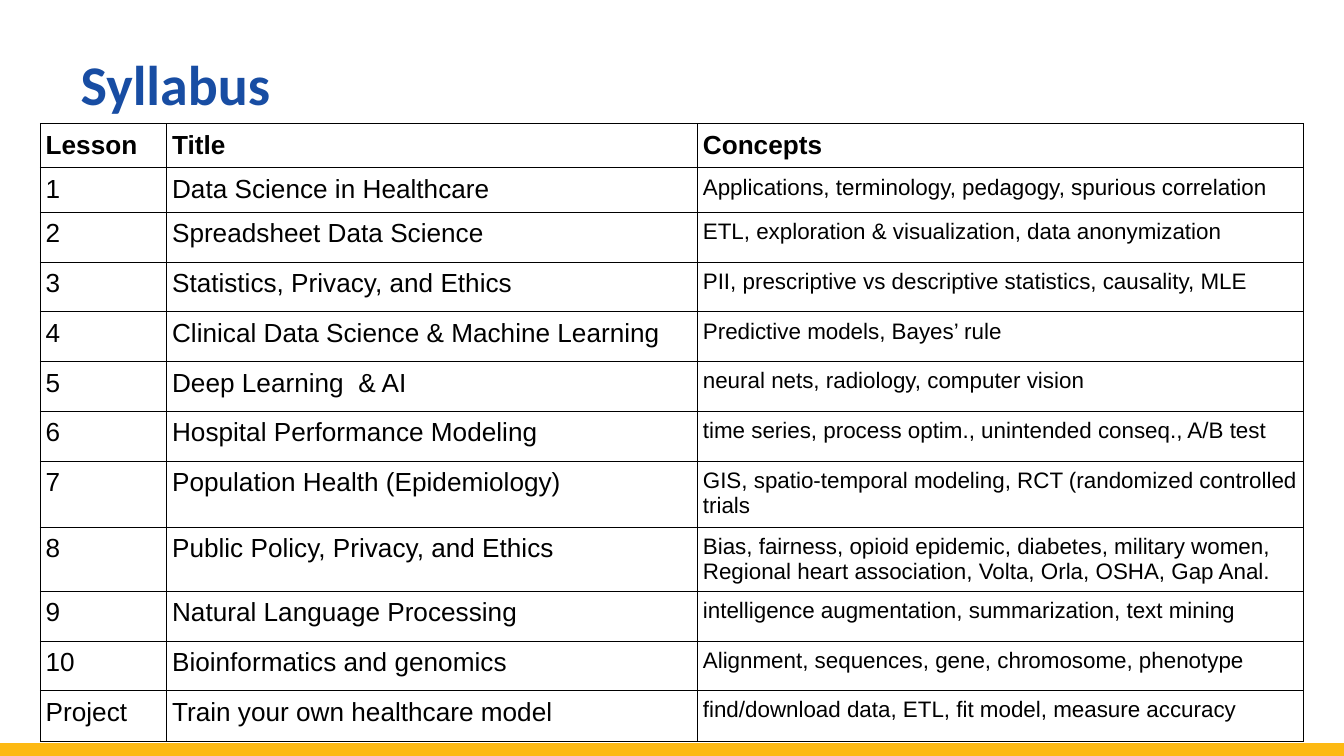
from lxml import etree
from pptx import Presentation
from pptx.dml.color import RGBColor
from pptx.enum.shapes import MSO_CONNECTOR
from pptx.enum.text import MSO_ANCHOR, MSO_AUTO_SIZE, PP_ALIGN
from pptx.oxml.ns import qn
from pptx.util import Pt

LEFT, TOP, NO_FIT = PP_ALIGN.LEFT, MSO_ANCHOR.TOP, MSO_AUTO_SIZE.NONE
STRAIGHT = MSO_CONNECTOR.STRAIGHT
COLORS = {"title": "184DA3", "text": "000000", "border": "000000", "footer": "FDB913"}
TITLE_FONT = {"name": "Calibri", "size": Pt(30), "bold": True}
HEADER_FONT = {"name": "Arial", "size": Pt(14), "bold": True}
BODY_FONT = {"name": "Arial", "size": Pt(14), "bold": False}
CONCEPT_FONT = {"name": "Arial", "size": Pt(12), "bold": False}
CELL_FORMAT = {"margin_left": Pt(2.9), "margin_right": Pt(2.9),
               "margin_top": Pt(3.6), "margin_bottom": Pt(3.6),
               "vertical_anchor": TOP}
TITLE_FRAME = {"margin_left": Pt(7.2), "margin_right": Pt(7.2), "margin_top": Pt(4.5),
               "vertical_anchor": TOP, "word_wrap": True, "auto_size": NO_FIT}

COLUMN_WIDTHS = [67.7, 284.4, 324.7]
ROW = 26.7
ROW_HEIGHTS = [23.8, 23.8] + [ROW] * 5 + [35.3, 34.3] + [ROW] * 2 + [27.2]
SYLLABUS = [
    ("Lesson", "Title", "Concepts"),
    ("1", "Data Science in Healthcare",
     "Applications, terminology, pedagogy, spurious correlation"),
    ("2", "Spreadsheet Data Science",
     "ETL, exploration & visualization, data anonymization"),
    ("3", "Statistics, Privacy, and Ethics",
     "PII, prescriptive vs descriptive statistics, causality, MLE"),
    ("4", "Clinical Data Science & Machine Learning", "Predictive models, Bayes’ rule"),
    ("5", "Deep Learning  & AI", "neural nets, radiology, computer vision"),
    ("6", "Hospital Performance Modeling",
     "time series, process optim., unintended conseq., A/B test"),
    ("7", "Population Health (Epidemiology)",
     "GIS, spatio-temporal modeling, RCT (randomized controlled trials"),
    ("8", "Public Policy, Privacy, and Ethics",
     "Bias, fairness, opioid epidemic, diabetes, military women, "
     "Regional heart association, Volta, Orla, OSHA, Gap Anal."),
    ("9", "Natural Language Processing",
     "intelligence augmentation, summarization, text mining"),
    ("10", "Bioinformatics and genomics",
     "Alignment, sequences, gene, chromosome, phenotype"),
    ("Project", "Train your own healthcare model",
     "find/download data, ETL, fit model, measure accuracy"),
]


def set_all(target, values):
    """Set every attribute in a dict of format values."""
    for name, value in values.items():
        setattr(target, name, value)


def write(p, text, font, color):
    """Add one formatted run to a paragraph."""
    r = p.add_run()
    r.text = text
    set_all(r.font, font)
    r.font.color.rgb = RGBColor.from_string(COLORS[color])


def add_border(cell, color, width):
    """Draw a solid line on all four sides of a cell."""
    tcPr = cell._tc.get_or_add_tcPr()
    for side in ("a:lnL", "a:lnR", "a:lnT", "a:lnB"):
        ln = etree.SubElement(tcPr, qn(side), w=str(Pt(width)))
        fill = etree.SubElement(ln, qn("a:solidFill"))
        etree.SubElement(fill, qn("a:srgbClr"), val=COLORS[color])


def place_title(s, text, x, y, w, h):
    """Place and format the title placeholder in its box."""
    sp = s.shapes.title
    set_all(sp, {"left": Pt(x), "top": Pt(y), "width": Pt(w), "height": Pt(h)})
    tf = sp.text_frame
    set_all(tf, TITLE_FRAME)
    p = tf.paragraphs[0]
    set_all(p, {"alignment": LEFT, "line_spacing": Pt(58)})
    write(p, text, TITLE_FONT, "title")


def add_footer_line(s, x, y, w):
    """Draw the thick line along the foot of the slide."""
    line = s.shapes.add_connector(STRAIGHT, Pt(x), Pt(y), Pt(x + w), Pt(y))
    line.line.width = Pt(8)
    line.line.color.rgb = RGBColor.from_string(COLORS["footer"])
    etree.SubElement(line._element.spPr, qn("a:effectLst"))


def add_syllabus(s, rows, x, y, w, h):
    """Add the syllabus table with a bold header and smaller concepts."""
    table = s.shapes.add_table(len(rows), len(COLUMN_WIDTHS),
                               Pt(x), Pt(y), Pt(w), Pt(h)).table
    set_all(table, {"first_row": False, "horz_banding": False})
    for column, width in zip(table.columns, COLUMN_WIDTHS):
        column.width = Pt(width)
    for i, (row, height) in enumerate(zip(rows, ROW_HEIGHTS)):
        table.rows[i].height = Pt(height)
        fonts = [HEADER_FONT] * 3 if i == 0 else [BODY_FONT, BODY_FONT, CONCEPT_FONT]
        for j, (text, font) in enumerate(zip(row, fonts)):
            cell = table.cell(i, j)
            set_all(cell, CELL_FORMAT)
            add_border(cell, "border", 0.57)
            cell.fill.background()
            write(cell.text_frame.paragraphs[0], text, font, "text")


def main():
    """Build the syllabus slide and save it."""
    prs = Presentation()
    set_all(prs, {"slide_width": Pt(720), "slide_height": Pt(405)})
    s = prs.slides.add_slide(prs.slide_layouts[5])
    add_footer_line(s, 0, 401.8, 720)
    place_title(s, "Syllabus", 36, 0, 648, 94.3)
    add_syllabus(s, SYLLABUS, 21.6, 66.2, sum(COLUMN_WIDTHS), sum(ROW_HEIGHTS))
    prs.save("out.pptx")


if __name__ == "__main__":
    main()
